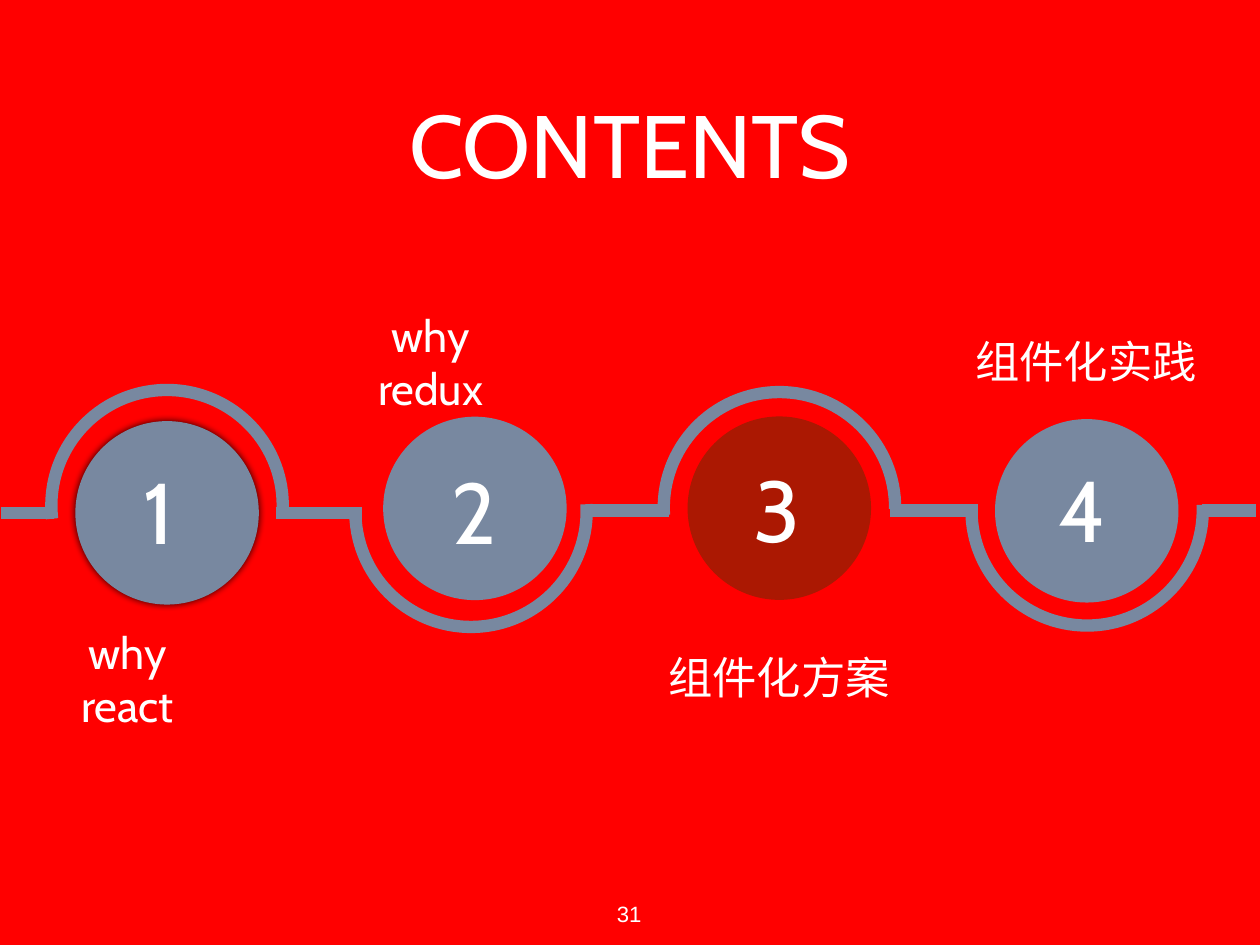
from math import cos, sin, tan, radians
from lxml.etree import SubElement
from pptx import Presentation
from pptx.dml.color import RGBColor as Rgb
from pptx.enum.shapes import MSO_CONNECTOR as Link, MSO_SHAPE as Form
from pptx.enum.text import MSO_ANCHOR as Anchor, PP_ALIGN as Align
from pptx.oxml.ns import qn
from pptx.util import Inches, Pt

# Grid of 100 columns by 75 rows
WIDE, HIGH = 14.22, 10.67
COLS, ROWS = 100, 75
HUE = {"back": "FF0000", "steel": "7888A0", "rust": "AB1802",
       "text": "FFFFFF", "shade": "000000"}
DISC, ARC = 14.56, 9.18  # disc width, arc radius


def col(n):
    return Inches(n * WIDE / COLS)


def row(n):
    return Inches(n * HIGH / ROWS)


def tint(name):
    return Rgb.from_string(HUE[name])


def put(frame, text, size=36, font="Cabin", hue="text"):
    """Write one centred line of text."""
    para = frame.paragraphs[0]
    para.alignment = Align.CENTER
    run = para.add_run()
    run.text = text
    run.font.size = Pt(size)
    run.font.name = font
    run.font.color.rgb = tint(hue)


class Board:
    def __init__(self, slide, pen=10, pad=0.06):
        self.slide, self.shapes = slide, slide.shapes
        self.pen, self.pad = Pt(pen), Inches(pad)
        fill = slide.background.fill
        fill.solid()
        fill.fore_color.rgb = tint("back")

    def ink(self, item):
        item.line.color.rgb = tint("steel")
        item.line.width = self.pen

    def text(self, x, y, w, h, words, **style):
        """Text box centred on x, y."""
        box = self.shapes.add_textbox(col(x - w / 2), row(y - h / 2), col(w), row(h))
        frame = box.text_frame
        frame.word_wrap = True
        frame.vertical_anchor = Anchor.MIDDLE
        frame.margin_left = frame.margin_right = self.pad
        frame.margin_top = frame.margin_bottom = self.pad
        put(frame, words, **style)

    def disc(self, x, y, hue, glow=False):
        half = DISC / 2
        disc = self.shapes.add_shape(Form.OVAL, col(x - half), row(y - half),
                                     col(DISC), row(DISC))
        disc.shadow.inherit = False
        disc.fill.solid()
        disc.fill.fore_color.rgb = tint(hue)
        disc.line.fill.background()
        if glow:
            fx = disc.element.spPr.find(qn("a:effectLst"))
            shade = SubElement(fx, qn("a:outerShdw"), blurRad=str(Pt(6)),
                               dist="0", dir="18900000", rotWithShape="0")
            tone = SubElement(shade, qn("a:srgbClr"), val=HUE["shade"])
            SubElement(tone, qn("a:alpha"), val="80000")

    def arc(self, x, y, *turns):
        """Open arc, clockwise through the given angles in degrees."""
        turns = [radians(t) for t in turns]

        def dot(t, pull=0):
            """Point at angle t, moved along the tangent by pull."""
            return (col(x + ARC * (cos(t) - pull * sin(t))),
                    row(y + ARC * (sin(t) + pull * cos(t))))

        path = self.shapes.build_freeform(*dot(turns[0]))
        path.add_line_segments([dot(t) for t in turns[1:]], close=False)
        arc = path.convert_to_shape()

        # Bend each straight segment into a curve
        bends = list(arc.element.iter(qn("a:lnTo")))
        for bend, a, b in zip(bends, turns, turns[1:]):
            pull = 4 / 3 * tan((b - a) / 4)
            bend.tag = qn("a:cubicBezTo")
            for at, (px, py) in enumerate((dot(a, pull), dot(b, -pull))):
                point = SubElement(bend, qn("a:pt"), x=str(px - arc.left),
                                   y=str(py - arc.top))
                bend.insert(at, point)
        arc.shadow.inherit = False
        arc.fill.background()
        self.ink(arc)

    def line(self, left, right, y):
        line = self.shapes.add_connector(Link.STRAIGHT, col(left), row(y),
                                         col(right), row(y))
        self.ink(line)
        SubElement(line.element.spPr, qn("a:effectLst"))


def main():
    deck = Presentation()
    deck.slide_width, deck.slide_height = Inches(WIDE), Inches(HIGH)
    board = Board(deck.slides.add_slide(deck.slide_layouts[6]))

    # Title
    board.text(50, 11.36, 94.5, 18.8, "CONTENTS", size=72)

    # Links between the steps
    for left, right, y in ((0.07, 4.29, 40.72), (21.87, 28.76, 40.72),
                           (46.62, 53.09, 40.51), (70.6, 77.64, 40.51),
                           (95.43, 99.72, 40.51)):
        board.line(left, right, y)

    # Steps: disc centre and hue, arc centre and angles, digit centre, label
    steps = (
        ((13.26, 40.7), "steel", (13.26, 40.13, 173.5, 270, 363.5),
         (12.63, 40.5), (10.13, 53.85, 9.8, 9), "why react"),
        ((37.69, 40.35), "steel", (37.38, 40.58, -3.5, 90, 181),
         (37.65, 40.5), (34.18, 28.7, 9.8, 9), "why redux"),
        ((61.85, 40.33), "rust", (61.86, 40.3, 176.5, 270, 360.5),
         (61.65, 40.33), (61.82, 53.7, 19, 5.7), "组件化方案"),
        ((86.25, 40.54), "steel", (86.28, 40.47, -2.5, 90, 180),
         (85.86, 40.33), (86.2, 28.6, 19, 5.7), "组件化实践"),
    )
    for num, (spot, hue, bow, mid, area, label) in enumerate(steps, 1):
        board.disc(*spot, hue, glow=num == 1)
        board.arc(*bow)
        board.text(*mid, 4.5, 9, str(num), size=70)
        board.text(*area, label)

    # Page number
    board.text(49.93, 72.5, 4, 2.95, "31", size=18, font="Arial")

    deck.save("out.pptx")


if __name__ == "__main__":
    main()
